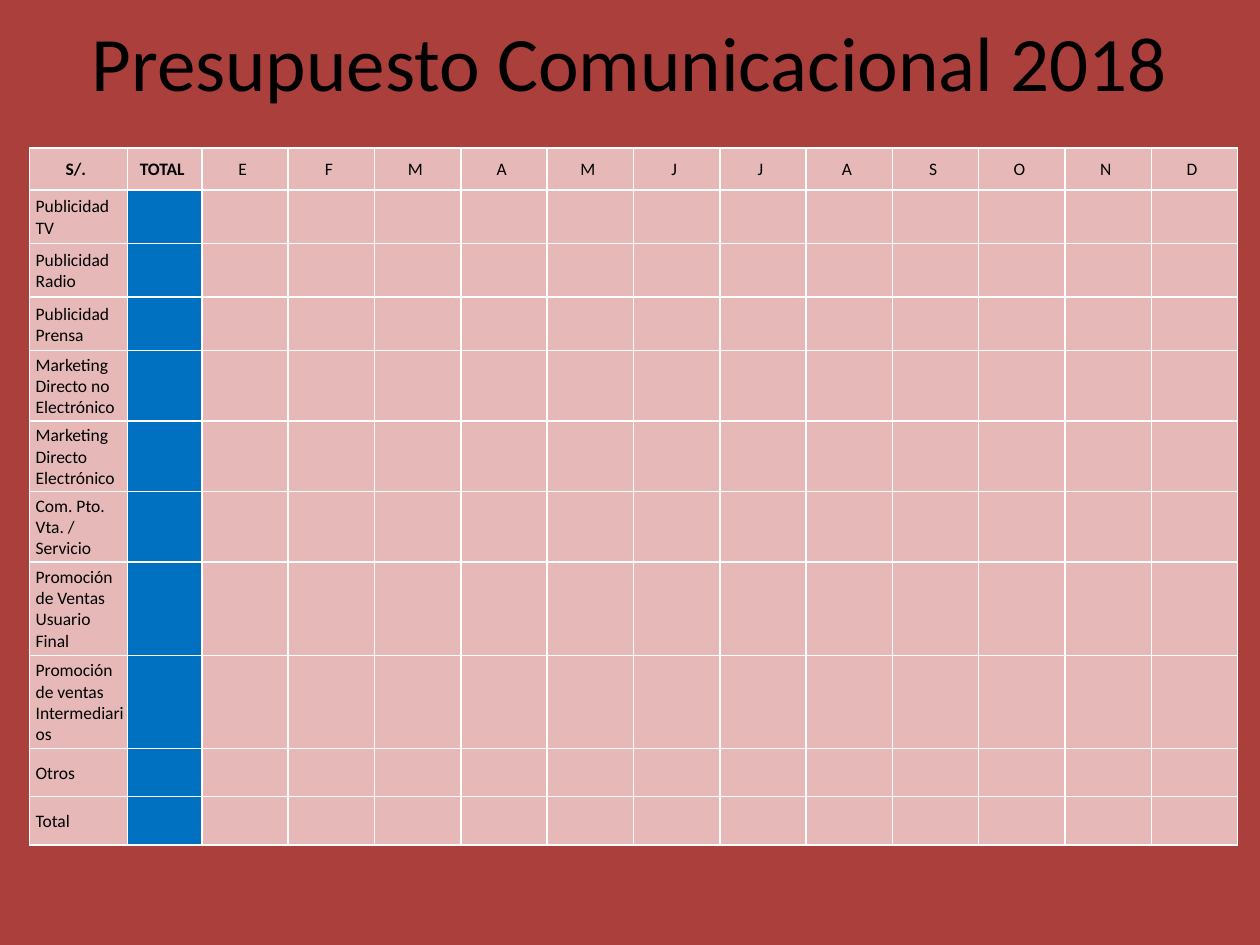
from lxml import etree
from pptx import Presentation
from pptx.dml.color import RGBColor
from pptx.enum.text import MSO_ANCHOR, PP_ALIGN
from pptx.oxml.ns import qn
from pptx.util import Cm, Pt

CENTER, LEFT = PP_ALIGN.CENTER, PP_ALIGN.LEFT
MIDDLE = MSO_ANCHOR.MIDDLE
TITLE_ONLY = 5

BRICK = RGBColor(0xAA, 0x3F, 0x3C)
PINK = RGBColor(0xE6, 0xB9, 0xB8)
BLUE = RGBColor(0x00, 0x70, 0xC0)
BLACK = RGBColor(0x00, 0x00, 0x00)
WHITE = RGBColor(0xFF, 0xFF, 0xFF)

TITLE = "Presupuesto Comunicacional 2018"
HEADINGS = ["S/.", "TOTAL", *"EFMAMJJASOND"]
TOTAL_COLUMN = 1
MONTH_COUNT = 12
HEADING_HEIGHT = 0.85
BUDGET_LINES = [
    ("Publicidad TV", 1.08),
    ("Publicidad Radio", 1.08),
    ("Publicidad Prensa", 1.08),
    ("Marketing Directo no Electrónico", 1.42),
    ("Marketing Directo Electrónico", 1.42),
    ("Com. Pto. Vta. / Servicio", 1.42),
    ("Promoción de Ventas Usuario Final", 1.88),
    ("Promoción de ventas Intermediarios", 1.88),
    ("Otros", 0.97),
    ("Total", 0.97),
]
COLUMN_WIDTHS = [1.98, 1.5] + [1.74] * MONTH_COUNT


class BudgetSlide:
    font_name = "Calibri"

    def __init__(self, presentation):
        layout = presentation.slide_layouts[TITLE_ONLY]
        self.slide = presentation.slides.add_slide(layout)
        background = self.slide.background.fill
        background.solid()
        background.fore_color.rgb = BRICK

    def format_paragraph(self, paragraph, size, alignment, bold=False):
        paragraph.alignment = alignment
        font = paragraph.font
        font.name, font.size, font.bold = self.font_name, Pt(size), bold
        font.color.rgb = BLACK

    def add_title(self, text, left, top, width, height):
        title = self.slide.shapes.title
        title.left, title.top = Cm(left), Cm(top)
        title.width, title.height = Cm(width), Cm(height)
        frame = title.text_frame
        frame.text = text
        frame.vertical_anchor = MIDDLE
        self.format_paragraph(frame.paragraphs[0], 44, CENTER)

    def add_table(self, left, top, widths, heights):
        frame = self.slide.shapes.add_table(
            len(heights), len(widths), Cm(left), Cm(top),
            Cm(sum(widths)), Cm(sum(heights)))
        table = frame.table
        table.first_row = table.horz_banding = False
        for column, width in zip(table.columns, widths):
            column.width = Cm(width)
        for row, height in zip(table.rows, heights):
            row.height = Cm(height)
        return table

    def format_cell(self, cell, text, fill, alignment, bold=False,
                    margins=(0.03, 0.03), top_line=1, bottom_line=1):
        cell.text = text
        cell.vertical_anchor = MIDDLE
        cell.margin_left, cell.margin_right = map(Cm, margins)
        cell.margin_top, cell.margin_bottom = Cm(0.03), 0
        self.format_paragraph(
            cell.text_frame.paragraphs[0], 10, alignment, bold)
        self.add_borders(cell, top_line, bottom_line)
        cell.fill.solid()
        cell.fill.fore_color.rgb = fill

    def add_borders(self, cell, top_line, bottom_line):
        properties = cell._tc.get_or_add_tcPr()
        sides = {"a:lnL": 1, "a:lnR": 1,
                 "a:lnT": top_line, "a:lnB": bottom_line}
        for tag, width in sides.items():
            line = etree.SubElement(properties, qn(tag), w=str(Pt(width)))
            solid = etree.SubElement(line, qn("a:solidFill"))
            etree.SubElement(solid, qn("a:srgbClr"), val=str(WHITE))

    def add_budget(self, left, top):
        heights = [HEADING_HEIGHT] + [height for _, height in BUDGET_LINES]
        table = self.add_table(left, top, COLUMN_WIDTHS, heights)
        for column, heading in enumerate(HEADINGS):
            self.format_cell(
                table.cell(0, column), heading, PINK, CENTER,
                bold=column <= TOTAL_COLUMN, margins=(0.03, 0.13),
                bottom_line=1.5)
        for row, (label, _) in enumerate(BUDGET_LINES, start=1):
            for column in range(len(HEADINGS)):
                self.format_cell(
                    table.cell(row, column),
                    label if column == 0 else "",
                    BLUE if column == TOTAL_COLUMN else PINK,
                    LEFT, margins=(0.13, 0.03),
                    top_line=1.5 if row == 1 else 1)


def main():
    presentation = Presentation()
    presentation.slide_width, presentation.slide_height = Cm(25.4), Cm(19.05)
    budget = BudgetSlide(presentation)
    budget.add_title(TITLE, 0, -0.08, 25.4, 2.6)
    budget.add_budget(0.59, 2.98)
    presentation.save("out.pptx")


if __name__ == "__main__":
    main()
